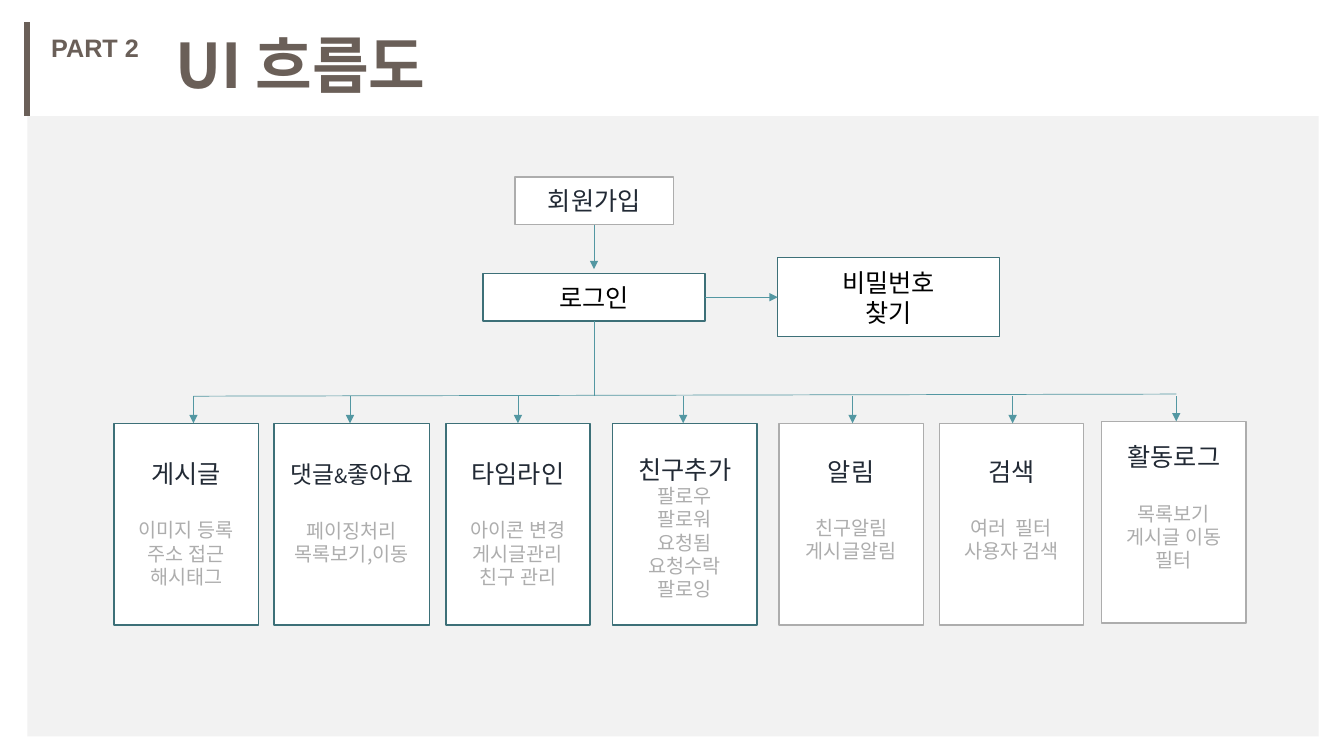
"""Build the UI flow chart slide."""
from lxml.etree import SubElement
from pptx import Presentation
from pptx.dml.color import RGBColor
from pptx.enum.shapes import MSO_CONNECTOR, MSO_SHAPE
from pptx.enum.text import MSO_ANCHOR, PP_ALIGN
from pptx.oxml.ns import qn
from pptx.util import Pt

KOREAN = "Noto Sans CJK KR"
BROWN, TEAL, ARROW, GREY = "6A5F58", "3D7078", "5397A2", "ADADAD"
NAVY, BLACK, WHITE, PANEL = "222A35", "000000", "FFFFFF", "F2F2F2"
LINE_FACTOR = 1.19
CARD_TOP, CARD_HEIGHT, CARD_WIDTH = 302.4, 144, 103
BUS_Y = 283

TITLES = [
    ("PART 2", "Arial", 18, (29.5, 20, 78, 28.8)),
    ("UI 흐름도", KOREAN, 44, (118, 16, 204.5, 60.5)),
]
STEPS = [
    (["회원가입"], NAVY, GREY, (368, 126.5, 113, 34)),
    (["로그인"], BLACK, TEAL, (345, 195.3, 158.6, 34)),
    (["비밀번호", "찾기"], BLACK, TEAL, (555.5, 184, 158.6, 56.5)),
]
CARDS = [
    dict(heading=[("게시글", 18)], items=["이미지 등록", "주소 접근", "해시태그"],
         left=81.5, drop=138.2, inset=25, border=TEAL),
    dict(heading=[("댓글", 17), ("&", 14), ("좋아요", 17)], items=["페이징처리", "목록보기,이동"],
         left=195.8, width=111, drop=250, inset=26.5, border=TEAL),
    dict(heading=[("타임라인", 18)], items=["아이콘 변경", "게시글관리", "친구 관리"],
         left=318.5, drop=370, inset=25, border=TEAL),
    dict(heading=[("친구추가", 18)], items=["팔로우", "팔로워", "요청됨", "요청수락", "팔로잉"],
         left=437.7, drop=488, inset=22, gap=0, border=TEAL),
    dict(heading=[("알림", 18)], items=["친구알림", "게시글알림"],
         left=556.5, drop=609, inset=23.5, border=GREY),
    dict(heading=[("검색", 18)], items=["여러  필터", "사용자 검색"],
         left=671, drop=723.3, inset=23.5, border=GREY),
    dict(heading=[("활동로그", 18)], items=["목록보기", "게시글 이동", "필터"],
         left=787, top=301, drop=840.2, inset=14.5, border=GREY),
]
LINKS = [
    ((424.3, 160.5), (424.3, 192.3), True),
    ((503.6, 212.3), (555.5, 212.3), True),
    ((424.3, 229.3), (424.3, BUS_Y), False),
    ((840.2, 281.5), (138.2, BUS_Y), False),
]


def color(value):
    return RGBColor.from_string(value)


def apply(target, values):
    for name, value in values.items():
        setattr(target, name, value)


def add_box(slide, bounds, fill, border=None):
    shape = slide.shapes.add_shape(MSO_SHAPE.RECTANGLE, *map(Pt, bounds))
    shape.shadow.inherit = False
    shape.fill.solid()
    shape.fill.fore_color.rgb = color(fill)
    if border:
        shape.line.color.rgb = color(border)
        shape.line.width = Pt(1)
    else:
        shape.line.fill.background()
    return shape


def add_line(slide, start, end, line_color=ARROW, width=0.5, arrow=False):
    connector = slide.shapes.add_connector(
        MSO_CONNECTOR.STRAIGHT, *map(Pt, (*start, *end)))
    connector.line.color.rgb = color(line_color)
    connector.line.width = Pt(width)
    if arrow:
        SubElement(connector.line._get_or_add_ln(), qn("a:tailEnd"), type="triangle")
    SubElement(connector._element.spPr, qn("a:effectLst"))


def write(frame, lines, alignment=PP_ALIGN.CENTER, font_name=KOREAN, bold=False):
    """Write lines given as (runs, color, space before)."""
    for index, (runs, text_color, space) in enumerate(lines):
        paragraph = frame.paragraphs[0] if index == 0 else frame.add_paragraph()
        line_height = max(size for _, size in runs) * LINE_FACTOR
        apply(paragraph, dict(alignment=alignment, line_spacing=Pt(line_height)))
        if space:
            paragraph.space_before = Pt(space)
        for text, size in runs:
            run = paragraph.add_run()
            run.text = text
            apply(run.font, dict(name=font_name, size=Pt(size), bold=bold))
            run.font.color.rgb = color(text_color)
            SubElement(run.font._element, qn("a:ea"), typeface=font_name)


def add_card(slide, heading, items, left, drop, inset, border,
             top=CARD_TOP, width=CARD_WIDTH, gap=21.4):
    shape = add_box(slide, (left, top, width, CARD_HEIGHT), WHITE, border)
    apply(shape.text_frame, dict(
        word_wrap=True, vertical_anchor=MSO_ANCHOR.TOP, margin_top=Pt(inset),
        margin_left=Pt(3.6), margin_right=Pt(3.6), margin_bottom=0))
    lines = [(heading, NAVY, 0)]
    for index, item in enumerate(items):
        lines.append(([(item, 14)], GREY, 0 if index else gap))
    write(shape.text_frame, lines)
    add_line(slide, (drop, BUS_Y), (drop, top), arrow=True)


def main():
    presentation = Presentation()
    apply(presentation, dict(slide_width=Pt(960), slide_height=Pt(540)))
    slide = presentation.slides.add_slide(presentation.slide_layouts[6])
    add_box(slide, (19.5, 83, 922.5, 443), PANEL)
    add_line(slide, (19.5, 16), (19.5, 83), BROWN, 4.5)
    for text, font_name, size, bounds in TITLES:
        frame = slide.shapes.add_textbox(*map(Pt, bounds)).text_frame
        frame.word_wrap = False
        write(frame, [([(text, size)], BROWN, 0)], PP_ALIGN.LEFT, font_name, True)
    for texts, text_color, border, bounds in STEPS:
        frame = add_box(slide, bounds, WHITE, border).text_frame
        apply(frame, dict(word_wrap=True, vertical_anchor=MSO_ANCHOR.MIDDLE))
        write(frame, [([(text, 18)], text_color, 0) for text in texts])
    for start, end, arrow in LINKS:
        add_line(slide, start, end, arrow=arrow)
    for card in CARDS:
        add_card(slide, **card)
    presentation.save("out.pptx")


if __name__ == "__main__":
    main()
